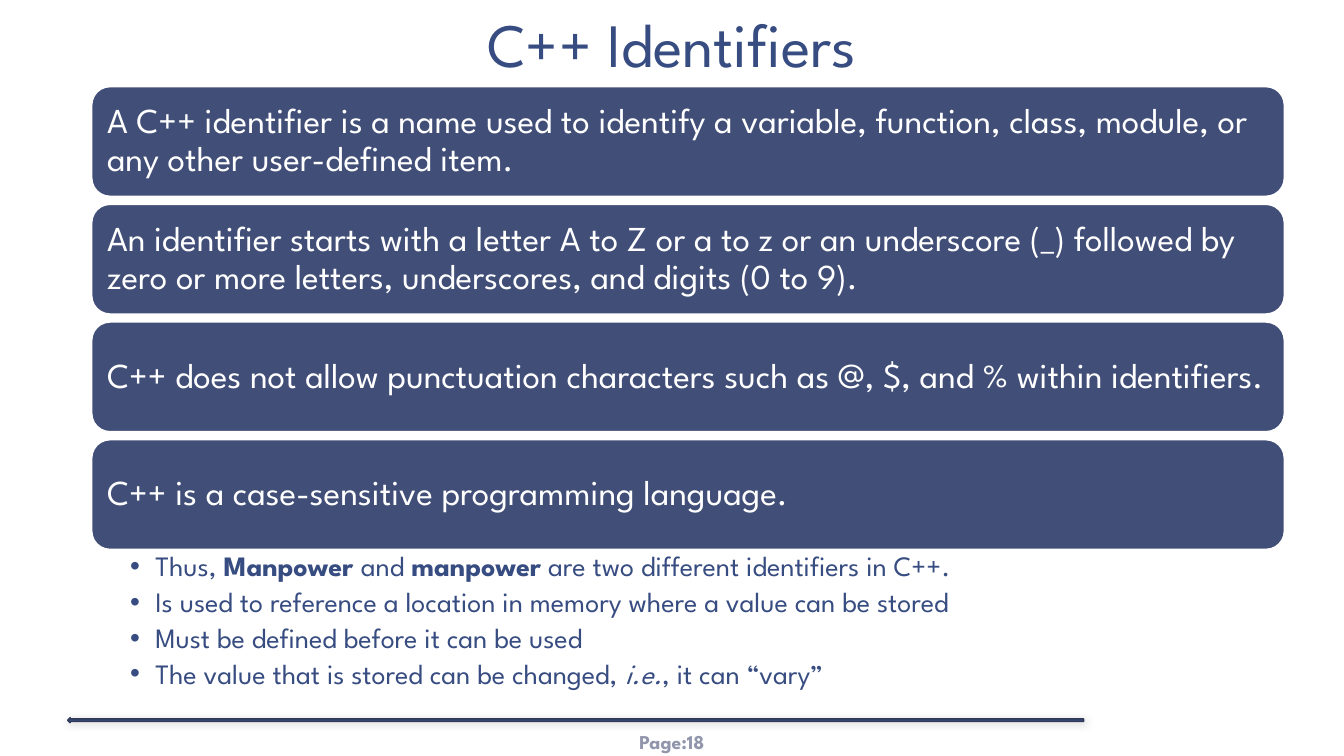
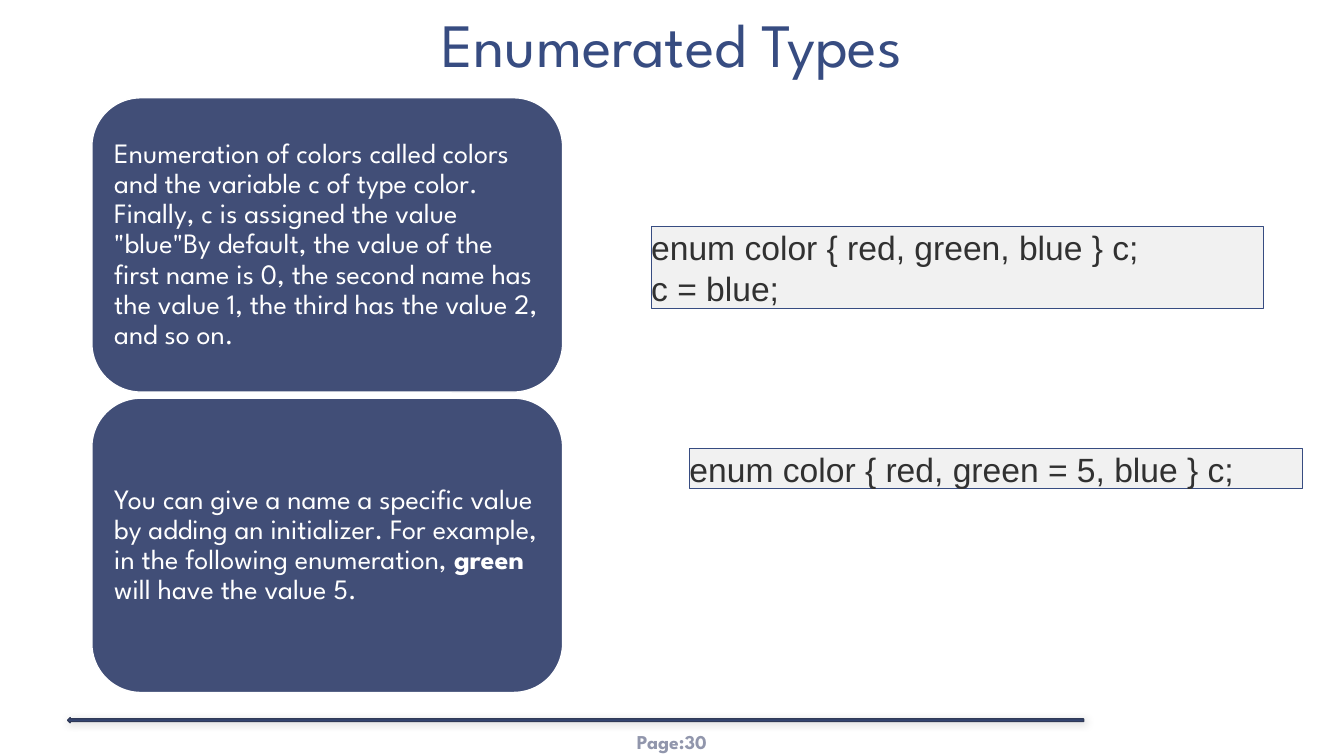
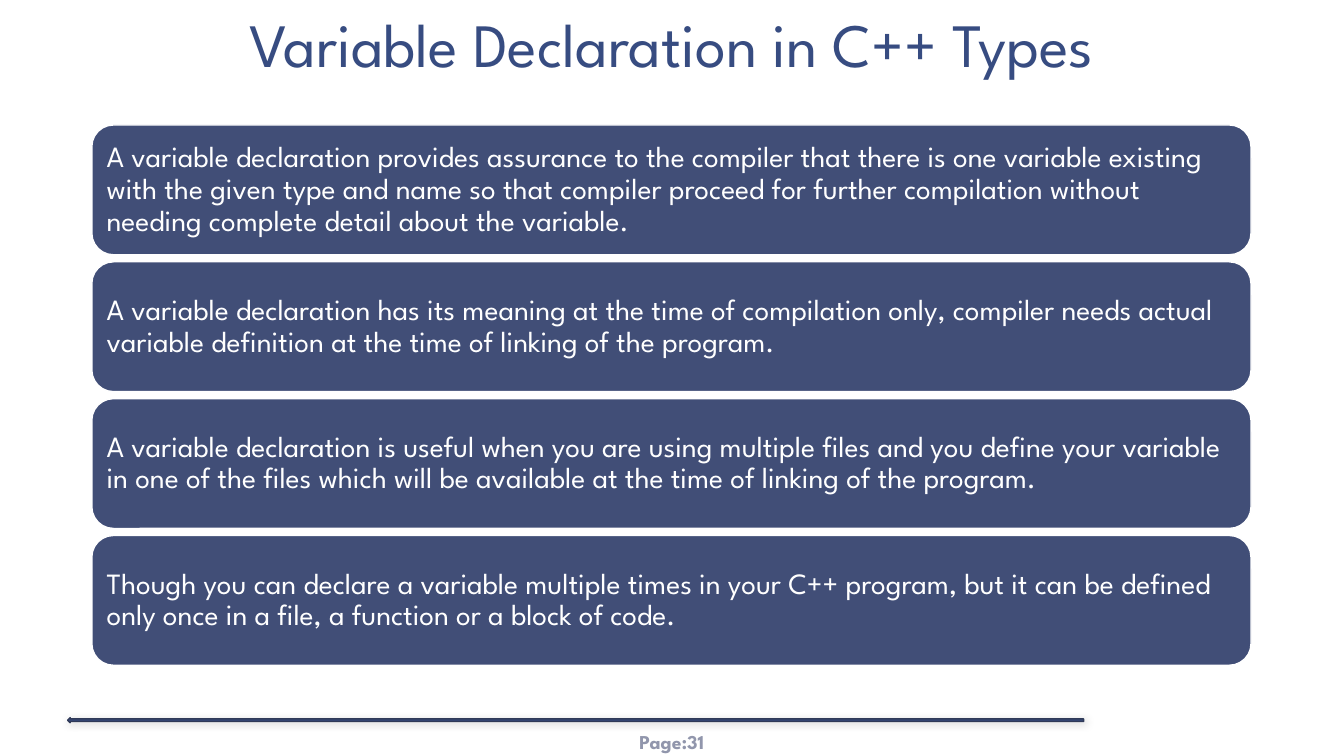
from dataclasses import dataclass
from typing import Optional, Sequence, Union

from lxml import etree
from pptx import Presentation
from pptx.dml.color import RGBColor
from pptx.enum.shapes import MSO_SHAPE
from pptx.enum.text import MSO_ANCHOR, MSO_AUTO_SIZE, PP_ALIGN
from pptx.oxml.ns import qn
from pptx.util import Inches, Pt

ROUND, RECT, ARROW = MSO_SHAPE.ROUNDED_RECTANGLE, MSO_SHAPE.RECTANGLE, MSO_SHAPE.LEFT_ARROW
LEFT, CENTER = PP_ALIGN.LEFT, PP_ALIGN.CENTER
TOP, MIDDLE, BOTTOM = MSO_ANCHOR.TOP, MSO_ANCHOR.MIDDLE, MSO_ANCHOR.BOTTOM
NO_FIT = MSO_AUTO_SIZE.NONE
TITLE_AND_BODY, TITLE_ONLY = 1, 5

NAVY, CARD, EDGE = "374C81", "414E77", "303A58"
WHITE, MUTED, CODE_FILL, CODE_TEXT = "FFFFFF", "9196AC", "F1F1F1", "313131"
FONT, CODE_FONT = "League Spartan", "Arial"


@dataclass(frozen=True)
class Area:
    """Percentages of the slide's width and height."""
    left: float
    top: float
    width: float
    height: float

    def emu(self) -> tuple[int, int, int, int]:
        w, h = prs.slide_width / 100, prs.slide_height / 100
        return (round(self.left * w), round(self.top * h),
                round(self.width * w), round(self.height * h))


@dataclass(frozen=True)
class Style:
    size: float
    color: str
    font: str = FONT
    bold: Optional[bool] = None
    align: PP_ALIGN = LEFT
    anchor: MSO_ANCHOR = MIDDLE
    spacing: float = 1.0
    after: float = 0
    insets: tuple[float, float, float, float] = (0, 0, 0, 0)


@dataclass(frozen=True)
class Run:
    text: str
    bold: Optional[bool] = None
    italic: Optional[bool] = None


@dataclass(frozen=True)
class Stack:
    area: Area
    gap: float
    size: float
    cards: Sequence["Line"]


@dataclass(frozen=True)
class Code:
    area: Area
    lines: Sequence[str]


@dataclass(frozen=True)
class Page:
    number: int
    title: str
    stack: Stack
    bullets: Sequence["Line"] = ()
    codes: Sequence[Code] = ()


Line = Union[str, Sequence[Run]]

TITLE_AREA = Area(0, 0, 100, 11.47)
ARROW_AREA = Area(5.03, 94.93, 75.6, 0.67)
NUMBER_AREA = Area(43.35, 95.47, 13.28, 5.33)
BULLET_AREA = Area(6.83, 72.67, 88.73, 20.4)

TITLE = Style(44, NAVY, align=CENTER, anchor=BOTTOM, spacing=0.85, insets=(0.13, 0.07, 0.13, 0.07))
NUMBER = Style(14, MUTED, bold=True, align=CENTER, insets=(0.04, 0.02, 0.04, 0.02))
BULLET = Style(20, NAVY, anchor=TOP, spacing=0.9, after=4, insets=(0.38, 0.03, 0.19, 0.03))
CODE = Style(24, CODE_TEXT, CODE_FONT)

PAGES = (
    Page(
        18, "C++ Identifiers",
        Stack(Area(6.83, 11.47, 88.73, 61.2), 1.07, 25, (
            "A C++ identifier is a name used to identify a variable, function, class, module, "
            "or any other user-defined item.",
            "An identifier starts with a letter A to Z or a to z or an underscore (_) followed by "
            "zero or more letters, underscores, and digits (0 to 9).",
            "C++ does not allow punctuation characters such as @, $, and % within identifiers.",
            "C++ is a case-sensitive programming language.",
        )),
        bullets=(
            (Run("Thus, "), Run("Manpower ", bold=True), Run("and "),
             Run("manpower", bold=True), Run(" are two different identifiers in C++.")),
            "Is used to reference a location in memory where a value can be stored",
            "Must be defined before it can be used",
            (Run("The value that is stored can be changed, "), Run("i.e.", italic=True),
             Run(", it can “vary”")),
        ),
    ),
    Page(
        30, "Enumerated Types",
        Stack(Area(6.83, 12.93, 35.03, 78.67), 0.8, 20, (
            "Enumeration of colors called colors and the variable c of type color. Finally, c is "
            "assigned the value \"blue\"By default, the value of the first name is 0, the second "
            "name has the value 1, the third has the value 2, and so on.",
            (Run("You can give a name a specific value by adding an initializer. For example, "
                 "in the following enumeration, "),
             Run("green", bold=True), Run(" will have the value 5.")),
        )),
        codes=(
            Code(Area(48.45, 30, 45.6, 10.8), ("enum color { red, green, blue } c;", "c = blue;")),
            Code(Area(51.3, 59.33, 45.6, 5.33), ("enum color { red, green = 5, blue } c;",)),
        ),
    ),
    Page(
        31, "Variable Declaration in C++ Types",
        Stack(Area(6.83, 16.53, 86.25, 71.47), 0.93, 21, (
            "A variable declaration provides assurance to the compiler that there is one variable "
            "existing with the given type and name so that compiler proceed for further "
            "compilation without needing complete detail about the variable.",
            "A variable declaration has its meaning at the time of compilation only, compiler "
            "needs actual variable definition at the time of linking of the program.",
            "A variable declaration is useful when you are using multiple files and you define "
            "your variable in one of the files which will be available at the time of linking "
            "of the program.",
            "Though you can declare a variable multiple times in your C++ program, but it can be "
            "defined only once in a file, a function or a block of code.",
        )),
    ),
)


def rgb(color: str) -> RGBColor:
    return RGBColor.from_string(color)


def write(tf, lines: Sequence[Line], style: Style) -> None:
    tf.word_wrap = True
    tf.auto_size = NO_FIT
    tf.vertical_anchor = style.anchor
    tf.margin_left, tf.margin_top, tf.margin_right, tf.margin_bottom = map(Inches, style.insets)
    for i, line in enumerate(lines):
        p = tf.add_paragraph() if i else tf.paragraphs[0]
        p.alignment = style.align
        p.line_spacing = style.spacing
        p.space_before, p.space_after = Pt(0), Pt(style.after)
        p.font.size, p.font.name, p.font.bold = Pt(style.size), style.font, style.bold
        p.font.color.rgb = rgb(style.color)
        for part in (Run(line),) if isinstance(line, str) else line:
            r = p.add_run()
            r.text = part.text
            r.font.bold, r.font.italic = part.bold, part.italic


def place(sp, area: Area) -> None:
    sp.left, sp.top, sp.width, sp.height = area.emu()


def add_box(slide, kind: MSO_SHAPE, area: Area, fill: str, line: str, width: float):
    sp = slide.shapes.add_shape(kind, *area.emu())
    sp.shadow.inherit = False
    sp.fill.solid()
    sp.fill.fore_color.rgb = rgb(fill)
    sp.line.color.rgb = rgb(line)
    sp.line.width = Pt(width)
    return sp


def add_shadow(sp) -> None:
    effects = sp._element.spPr.find(qn("a:effectLst"))
    shadow = etree.SubElement(effects, qn("a:outerShdw"), blurRad=str(Pt(6)),
                              dist=str(Pt(1)), dir="2700000", rotWithShape="0")
    color = etree.SubElement(shadow, qn("a:srgbClr"), val="000000")
    etree.SubElement(color, qn("a:alpha"), val="20000")


def add_footer(slide, number: int) -> None:
    sp = slide.shapes.add_textbox(*NUMBER_AREA.emu())
    write(sp.text_frame, [f"Page:{number}"], NUMBER)
    add_shadow(add_box(slide, ARROW, ARROW_AREA, NAVY, EDGE, 1))


def add_stack(slide, stack: Stack) -> None:
    area, count = stack.area, len(stack.cards)
    height = (area.height - stack.gap * (count - 1)) / count
    style = Style(stack.size, WHITE, spacing=0.9, insets=(stack.size * 0.004,) * 4)
    for row, card in enumerate(stack.cards):
        top = area.top + row * (height + stack.gap)
        sp = add_box(slide, ROUND, Area(area.left, top, area.width, height), CARD, WHITE, 1)
        write(sp.text_frame, [card], style)


def add_bullets(sp, lines: Sequence[Line]) -> None:
    place(sp, BULLET_AREA)
    write(sp.text_frame, lines, BULLET)
    for p in sp.text_frame.paragraphs:
        p.level = 1
        pPr = p._p.get_or_add_pPr()
        pPr.set("marL", str(Inches(0.25)))
        pPr.set("indent", str(Inches(-0.25)))
        bullet = etree.Element(qn("a:buChar"), char="•")
        pPr.find(qn("a:defRPr")).addprevious(bullet)


def add_page(page: Page) -> None:
    layout = TITLE_AND_BODY if page.bullets else TITLE_ONLY
    slide = prs.slides.add_slide(prs.slide_layouts[layout])
    add_footer(slide, page.number)
    place(slide.shapes.title, TITLE_AREA)
    write(slide.shapes.title.text_frame, [page.title], TITLE)
    add_stack(slide, page.stack)
    if page.bullets:
        add_bullets(slide.placeholders[1], page.bullets)
    for code in page.codes:
        sp = add_box(slide, RECT, code.area, CODE_FILL, NAVY, 0.75)
        write(sp.text_frame, code.lines, CODE)


prs = Presentation()
prs.slide_width, prs.slide_height = Inches(13.33), Inches(7.5)
for page in PAGES:
    add_page(page)
prs.save("out.pptx")
